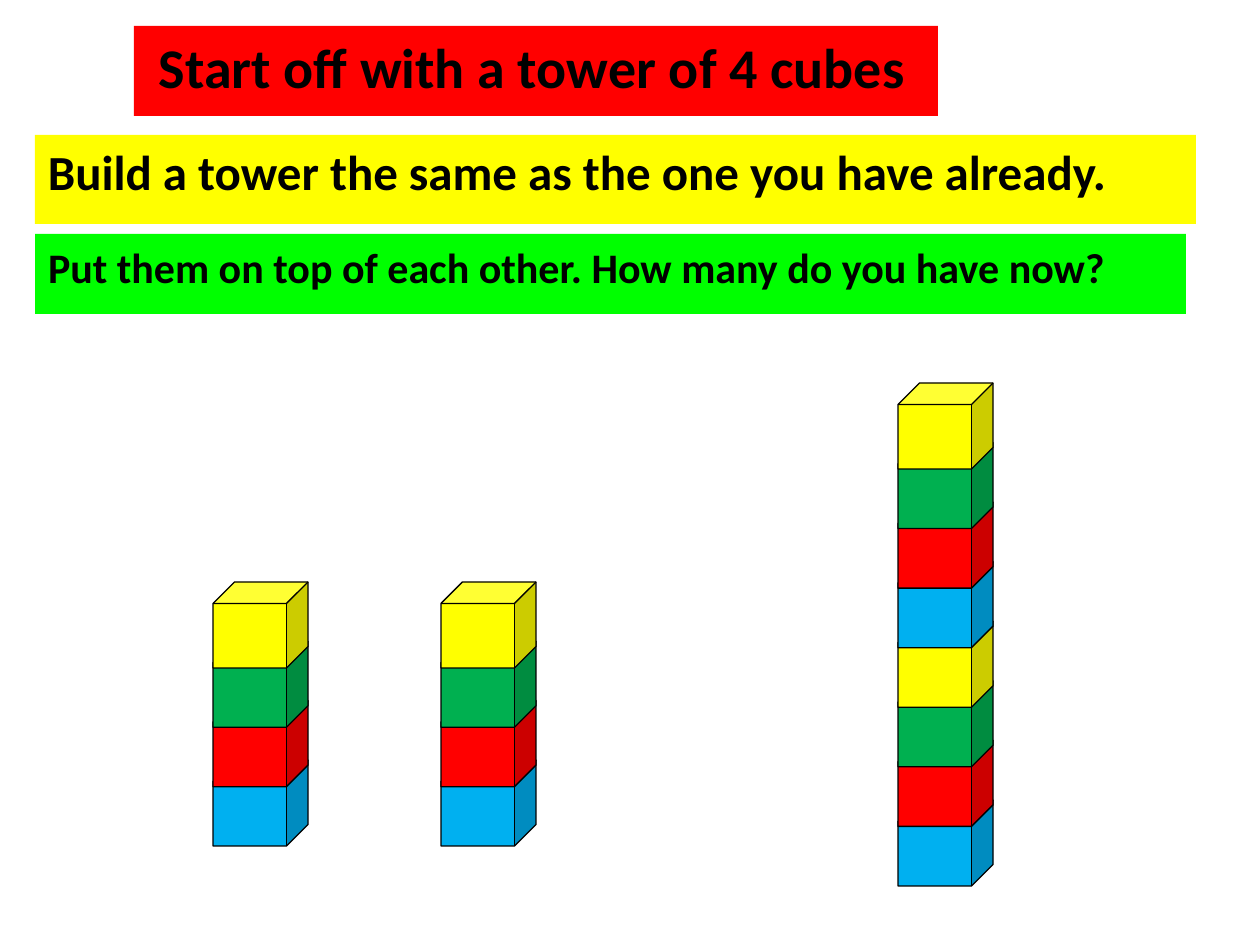
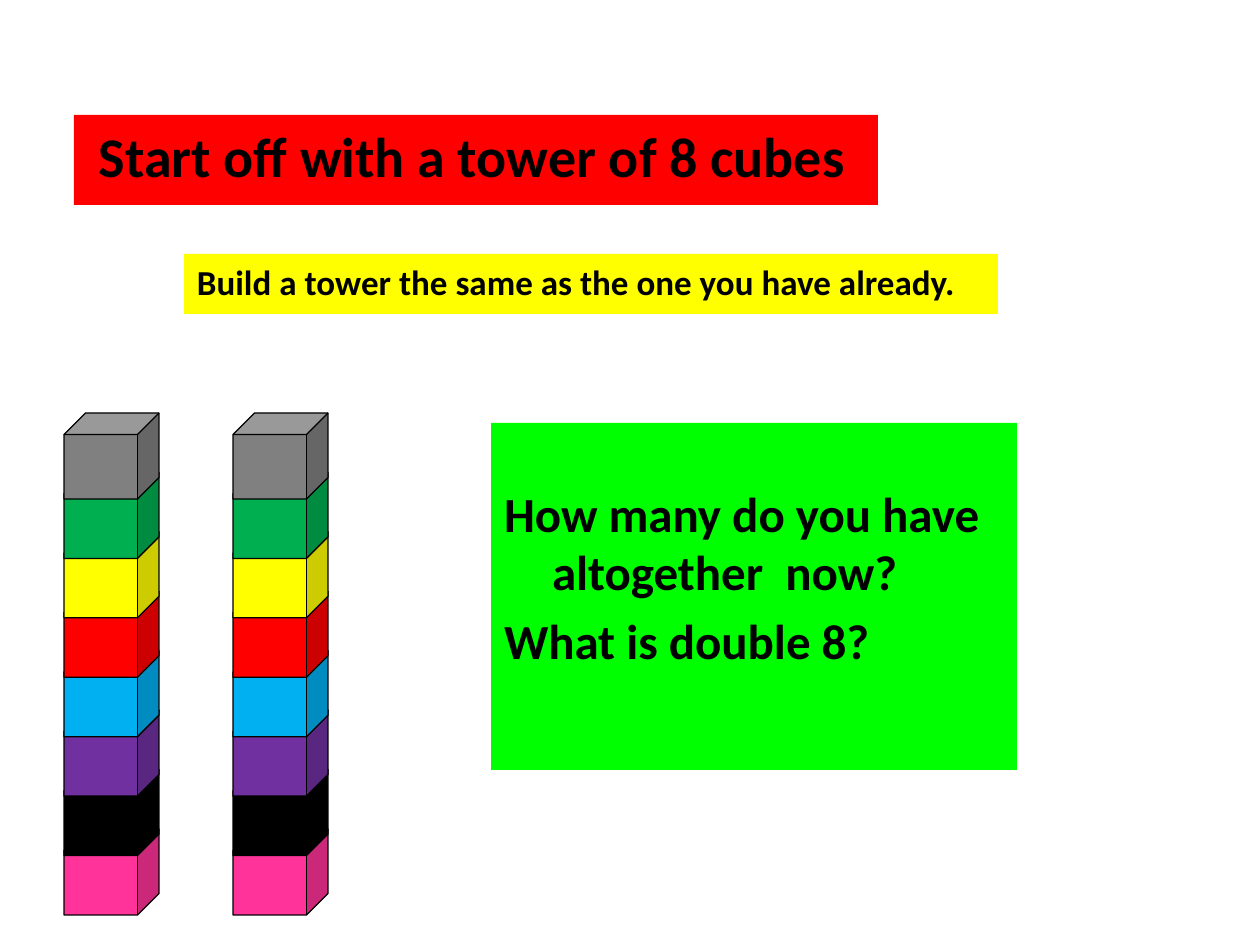
from pptx import Presentation
from pptx.dml.color import RGBColor
from pptx.enum.shapes import MSO_SHAPE
from pptx.enum.text import MSO_ANCHOR, PP_ALIGN
from pptx.util import Emu, Pt

PX = 914400 / 126
SLIDE_SIZE = (1260, 945)
FONT = "Calibri"
BLACK, RED, YELLOW, LIME = "000000", "FF0000", "FFFF00", "00FF00"
BLUE, GREEN, PURPLE, PINK, GREY = "00B0F0", "00B050", "7030A0", "FF3399", "808080"

CUBE_WIDTH, CUBE_HEIGHT = 95, 86
HANGING = 48
INSET_X, INSET_Y = 13, 7
TITLE_INSET = 25
TITLE_SIZE = (804, 90)

# Cube colours from the bottom up
FOUR_CUBES = [BLUE, RED, GREEN, YELLOW]
EIGHT_CUBES = [PINK, BLACK, PURPLE, BLUE, RED, YELLOW, GREEN, GREY]
BUILD = "Build a tower the same as the one you have already."

# Bands: (left, top, width, height), fill, text size, lines, (left inset, top inset)
# Towers: left, top, bottom, cube colours
SLIDES = [
    {
        "title": ("Start off with a tower of 4 cubes", 134, 26),
        "bands": [
            ((35, 135, 1161, 89), YELLOW, 28, [BUILD], (INSET_X, INSET_Y)),
            ((35, 234, 1151, 80), LIME, 24,
             ["Put them on top of each other. How many do you have now?"],
             (INSET_X, INSET_Y)),
        ],
        "towers": [
            (213, 582, 846, FOUR_CUBES),
            (441, 582, 846, FOUR_CUBES),
            (898, 383, 886, FOUR_CUBES * 2),
        ],
    },
    {
        "title": ("Start off with a tower of 8 cubes", 74, 115),
        "bands": [
            ((184, 254, 814, 60), YELLOW, 20, [BUILD], (INSET_X, INSET_Y)),
            ((491, 423, 526, 347), LIME, 28,
             ["How many do you have altogether  now?", "What is double 8?"],
             (INSET_X, 60)),
        ],
        "towers": [
            (64, 413, 915, EIGHT_CUBES),
            (233, 413, 915, EIGHT_CUBES),
        ],
    },
]


def px(length):
    return Emu(round(length * PX))


def color(hex_string):
    return RGBColor.from_string(hex_string)


def add_filled_shape(page, kind, place, fill):
    shape = page.shapes.add_shape(kind, *map(px, place))
    shape.shadow.inherit = False
    shape.fill.solid()
    shape.fill.fore_color.rgb = color(fill)
    return shape


def add_band(page, place, fill, size, lines, inset):
    box = add_filled_shape(page, MSO_SHAPE.RECTANGLE, place, fill)
    box.line.fill.background()
    frame = box.text_frame
    frame.word_wrap = True
    frame.vertical_anchor = MSO_ANCHOR.TOP
    frame.margin_left, frame.margin_top = map(px, inset)
    frame.margin_right, frame.margin_bottom = px(INSET_X), px(INSET_Y)
    for index, line in enumerate(lines):
        para = frame.add_paragraph() if index else frame.paragraphs[0]
        para.alignment = PP_ALIGN.LEFT
        para.space_before = Pt(size * 0.2 if index else 0)
        properties = para._p.get_or_add_pPr()
        properties.set("marL", str(px(HANGING)))
        properties.set("indent", str(-px(HANGING)))
        span = para.add_run()
        span.text = line
        span.font.name = FONT
        span.font.size = Pt(size)
        span.font.bold = True
        span.font.color.rgb = color(BLACK)


def add_tower(page, left, top, bottom, colors):
    """Stack cubes upwards so that each covers the top face of the one below."""
    lowest = bottom - CUBE_HEIGHT
    step = (lowest - top) / (len(colors) - 1)
    for level, fill in enumerate(colors):
        place = (left, lowest - level * step, CUBE_WIDTH, CUBE_HEIGHT)
        cube = add_filled_shape(page, MSO_SHAPE.CUBE, place, fill)
        cube.line.color.rgb = color(BLACK)
        cube.line.width = Pt(0.75)


def main():
    deck = Presentation()
    deck.slide_width, deck.slide_height = map(px, SLIDE_SIZE)
    for content in SLIDES:
        page = deck.slides.add_slide(deck.slide_layouts[6])
        title, left, top = content["title"]
        add_band(page, (left, top, *TITLE_SIZE), RED, 32, [title], (TITLE_INSET, INSET_Y))
        for band in content["bands"]:
            add_band(page, *band)
        for tower in content["towers"]:
            add_tower(page, *tower)
    deck.save("out.pptx")


if __name__ == "__main__":
    main()
